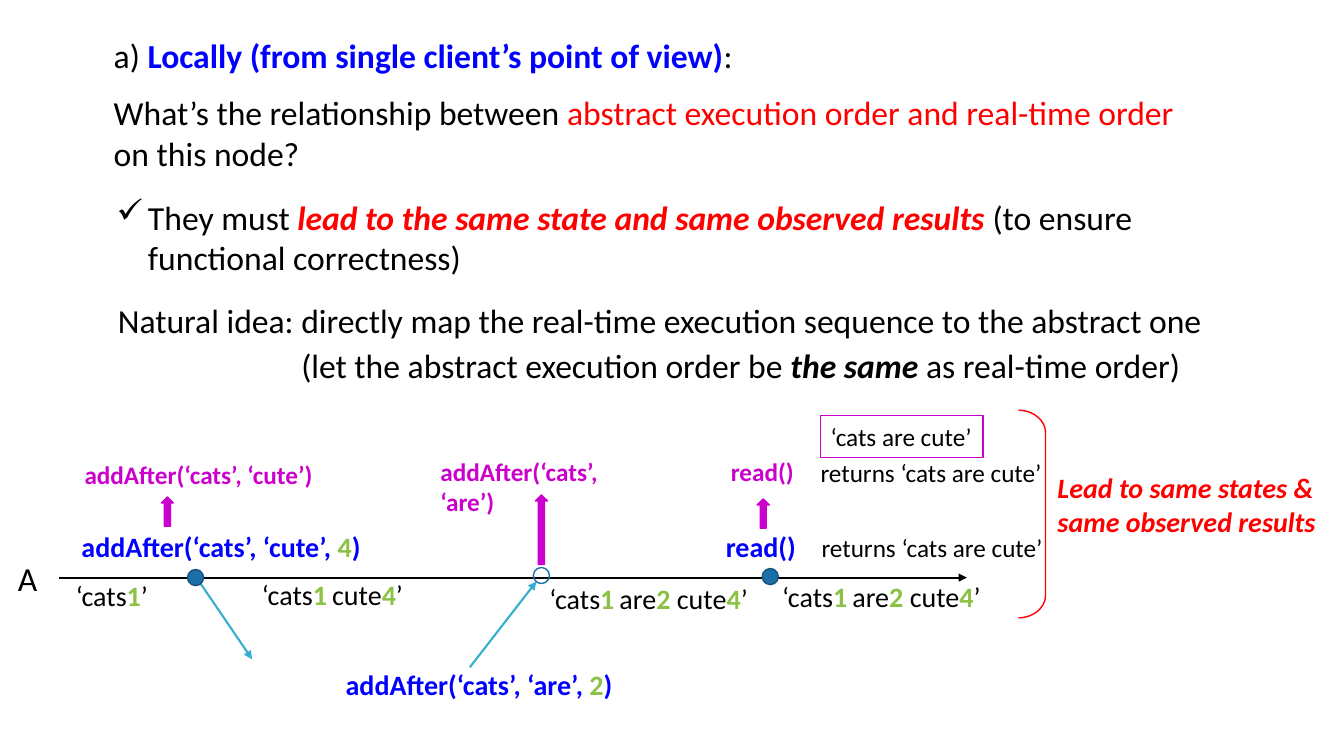
import pptx
import pptx.util
import pptx.dml.color
import pptx.enum.shapes
import pptx.enum.text
import pptx.oxml.ns
from lxml import etree

Inches, Pt = pptx.util.Inches, pptx.util.Pt
Kind = pptx.enum.shapes.MSO_SHAPE
Align = pptx.enum.text.PP_ALIGN
qn = pptx.oxml.ns.qn

BLACK, RED, BLUE = "000000", "FF0000", "0000FF"
GREEN, PINK, SKY, DOT, EDGE = "8BC145", "CC00CC", "36AFCE", "1D6FA9", "15527D"


def paint(part, color):
    """Give a fill, line fill or font a solid colour."""
    if hasattr(part, "solid"):
        part.solid()
        part.fore_color.rgb = pptx.dml.color.RGBColor.from_string(color)
    else:
        part.color.rgb = pptx.dml.color.RGBColor.from_string(color)


def write(para, size, runs):
    """Add runs given as (text, colour, style), style holding b and i."""
    for text, color, style in runs:
        run = para.add_run()
        run.text = text
        run.font.name = "Calibri"
        run.font.size = Pt(size)
        run.font.bold = "b" in style
        run.font.italic = "i" in style
        paint(run.font, color)


deck = pptx.Presentation()
deck.slide_width, deck.slide_height = Inches(13.33), Inches(7.5)
slide = deck.slides.add_slide(deck.slide_layouts[6])
shapes = slide.shapes

# Block arrows, event dots, result frame and bracket
figures = [
    (Kind.UP_ARROW, 1.6, 4.93, 0.12, 0.29, PINK, PINK, 1),
    (Kind.UP_ARROW, 5.31, 4.91, 0.12, 0.69, PINK, PINK, 1),
    (Kind.UP_ARROW, 7.51, 4.95, 0.12, 0.29, PINK, PINK, 1),
    (Kind.OVAL, 1.86, 5.65, 0.16, 0.16, DOT, EDGE, 1),
    (Kind.OVAL, 5.29, 5.63, 0.16, 0.16, None, DOT, 1),
    (Kind.OVAL, 7.56, 5.64, 0.16, 0.16, DOT, EDGE, 1),
    (Kind.RECTANGLE, 8.14, 4.12, 1.61, 0.42, None, PINK, 0.75),
    (Kind.RIGHT_BRACKET, 10.1, 4.07, 0.27, 2.06, None, RED, 1),
]

# Time line and message arrows
arrows = [
    (0.59, 5.73, 9.59, 5.73, BLACK),
    (1.99, 5.79, 2.5, 6.54, SKY),
    (4.66, 6.62, 5.32, 5.77, SKY),
]
for x1, y1, x2, y2, color in arrows:
    arrow = shapes.add_connector(
        pptx.enum.shapes.MSO_CONNECTOR.STRAIGHT,
        Inches(x1), Inches(y1), Inches(x2), Inches(y2))
    paint(arrow.line.fill, color)
    arrow.line.width = Pt(1.5)
    etree.SubElement(arrow.line._get_or_add_ln(), qn("a:tailEnd"), type="triangle")
    etree.SubElement(arrow._element.spPr, qn("a:effectLst"))

for kind, x, y, w, h, fill, edge, width in figures:
    figure = shapes.add_shape(kind, Inches(x), Inches(y), Inches(w), Inches(h))
    figure.shadow.inherit = False
    if fill:
        paint(figure.fill, fill)
    else:
        figure.fill.background()
    paint(figure.line.fill, edge)
    figure.line.width = Pt(width)
    if kind == Kind.RECTANGLE:
        para = figure.text_frame.paragraphs[0]
        para.alignment = Align.LEFT
        write(para, 18, [("‘cats are cute’", BLACK, "")])
    elif kind == Kind.RIGHT_BRACKET:
        figure.adjustments[0] = 0.83

# Text: left, top, width, height, wrap, size, runs
quote = ("’", BLACK, "")
first = [("‘cats", BLACK, ""), ("1", GREEN, "b")]
last = [("cute", BLACK, ""), ("4", GREEN, "b"), quote]
gap = [(" ", GREEN, "b")]
three = first + gap + [("are", BLACK, ""), ("2 ", GREEN, "b")] + last
result = [("returns ‘cats are cute’", BLACK, "")]
labels = [
    (1.03, 0.3, 11.03, 1.48, True, 24, [
        ("a) ", BLACK, ""),
        ("Locally (from single client’s point of view)", BLUE, "b"),
        (":", BLACK, "")]),
    (1.06, 1.9, 10.46, 0.91, True, 24, [
        ("They must ", BLACK, ""),
        ("lead to the same state and same observed results", RED, "bi"),
        (" (to ensure functional correctness)", BLACK, "")]),
    (1.07, 2.93, 10.98, 0.5, False, 24, [
        ("Natural idea: directly map the real-time execution sequence "
         "to the abstract one", BLACK, "")]),
    (2.89, 3.37, 8.93, 0.5, False, 24, [
        ("(let the abstract execution order be ", BLACK, ""),
        ("the same", BLACK, "bi"), (" as real-time order)", BLACK, "")]),
    (0.74, 4.51, 2.48, 0.4, True, 18, [("addAfter(‘cats’, ‘cute’)", PINK, "b")]),
    (4.27, 4.48, 2.33, 0.4, True, 18, [("addAfter(‘cats’, ‘are’)", PINK, "b")]),
    (7.15, 4.48, 0.91, 0.4, True, 18, [("read()", PINK, "b")]),
    (8.04, 4.49, 2.46, 0.4, False, 18, result),
    (8.05, 5.23, 2.46, 0.4, False, 18, result),
    (0.71, 5.2, 3, 0.44, False, 20, [
        ("addAfter(‘cats’, ‘cute’, ", BLUE, "b"), ("4", GREEN, "b"), (")", BLUE, "b")]),
    (3.33, 6.57, 2.94, 0.44, False, 20, [
        ("addAfter(‘cats’, ‘are’, ", BLUE, "b"), ("2", GREEN, "b"), (")", BLUE, "b")]),
    (7.1, 5.2, 0.91, 0.44, False, 20, [("read()", BLUE, "b")]),
    (0.08, 5.49, 0.4, 0.5, False, 24, [("A", BLACK, "")]),
    (0.34, 5.69, 1.54, 0.44, True, 20, first + [quote]),
    (2.5, 5.68, 1.98, 0.44, True, 20, first + gap + last),
    (5.35, 5.72, 2.41, 0.44, True, 20, three),
    (7.66, 5.7, 2.41, 0.44, True, 20, three),
    (10.39, 4.62, 2.77, 0.77, True, 20, [
        ("Lead to same states & same observed results", RED, "bi")]),
]
frames = []
for x, y, w, h, wrap, size, runs in labels:
    frame = shapes.add_textbox(Inches(x), Inches(y), Inches(w), Inches(h)).text_frame
    frame.word_wrap = wrap
    write(frame.paragraphs[0], size, runs)
    for run in frame.paragraphs[0].runs:
        if run.text == " ":
            run.font.size = Pt(16)
    if runs == first + [quote]:
        frame.paragraphs[0].alignment = Align.CENTER
    frames.append(frame)

# Question under the heading
ask = frames[0].add_paragraph()
ask.space_before = Pt(12)
write(ask, 24, [
    ("What’s the relationship between ", BLACK, ""),
    ("abstract execution order and real-time order", RED, ""),
    (" on this node?", BLACK, "")])

# Check mark before the answer
props = frames[1].paragraphs[0]._p.get_or_add_pPr()
props.set("marL", str(Inches(0.31)))
props.set("indent", str(-Inches(0.31)))
etree.SubElement(props, qn("a:buChar"), char="✓")

deck.save("out.pptx")
